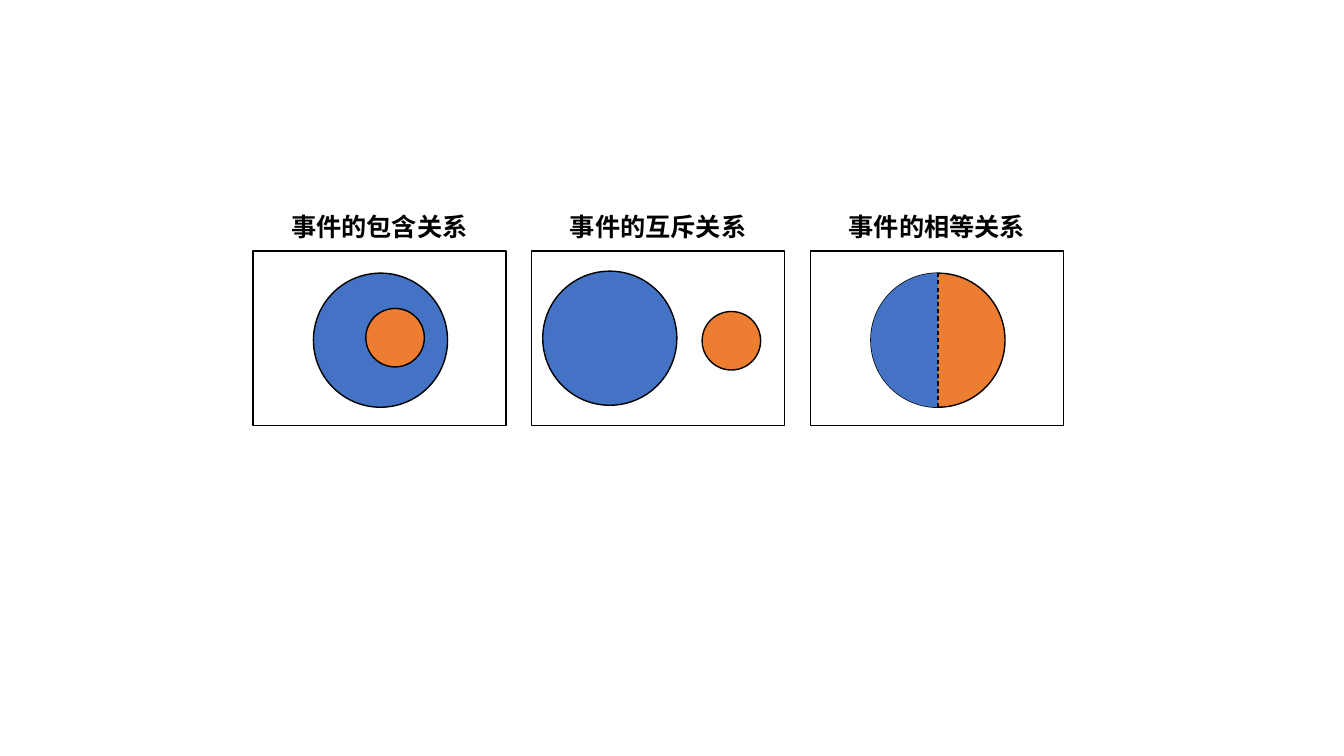
from dataclasses import dataclass

from lxml.etree import SubElement
from pptx import Presentation
from pptx.dml.color import RGBColor
from pptx.enum.dml import MSO_LINE
from pptx.enum.shapes import MSO_CONNECTOR, MSO_SHAPE as SHAPE
from pptx.enum.text import MSO_AUTO_SIZE
from pptx.oxml.ns import qn
from pptx.shapes.autoshape import Shape
from pptx.slide import Slide
from pptx.util import Pt

BLACK = RGBColor(0x00, 0x00, 0x00)
WHITE = RGBColor(0xFF, 0xFF, 0xFF)
BLUE = RGBColor(0x44, 0x72, 0xC4)
ORANGE = RGBColor(0xED, 0x7D, 0x31)
FONT = "Noto Sans CJK SC"

# All lengths in points
PANEL_LEFT, PANEL_TOP, PANEL_W, PANEL_H = 180.7, 179.3, 180.7, 124.6
PITCH = 199.1
CAPTION_DX, CAPTION_TOP, CAPTION_W, CAPTION_H = 20.2, 147.6, 142.6, 28.8
LARGE, SMALL = 95.8, 41.8


@dataclass(frozen=True)
class Event:
    """A circle, placed relative to the corner of its panel."""
    dx: float
    dy: float
    size: float
    color: RGBColor


@dataclass(frozen=True)
class Panel:
    """A captioned sample space with its events."""
    caption: str
    events: tuple[Event, ...]
    split: bool = False


PANELS = (
    Panel("事件的包含关系", (Event(43.2, 15.8, LARGE, BLUE),
                      Event(80.6, 41, SMALL, ORANGE))),
    Panel("事件的互斥关系", (Event(7.9, 14.4, LARGE, BLUE),
                      Event(121.7, 43.2, SMALL, ORANGE))),
    Panel("事件的相等关系", (Event(43.2, 15.8, LARGE, ORANGE),), split=True),
)


def add_shape(s: Slide, kind: SHAPE, x: float, y: float, w: float, h: float,
              fill: RGBColor, outlined: bool = True) -> Shape:
    """Add a filled shape, with a thin black outline unless told otherwise."""
    sp = s.shapes.add_shape(kind, Pt(x), Pt(y), Pt(w), Pt(h))
    sp.shadow.inherit = False
    sp.fill.solid()
    sp.fill.fore_color.rgb = fill
    if outlined:
        sp.line.color.rgb = BLACK
        sp.line.width = Pt(1)
    else:
        sp.line.fill.background()
    return sp


def add_text(s: Slide, text: str, x: float, y: float, w: float, h: float, *,
             size: float = 18, bold: bool = True,
             color: RGBColor = BLACK, font: str = FONT) -> None:
    """Add a text box holding one formatted run."""
    tf = s.shapes.add_textbox(Pt(x), Pt(y), Pt(w), Pt(h)).text_frame
    tf.word_wrap = True
    tf.auto_size = MSO_AUTO_SIZE.SHAPE_TO_FIT_TEXT
    r = tf.paragraphs[0].add_run()
    r.text = text
    r.font.size = Pt(size)
    r.font.bold = bold
    r.font.color.rgb = color
    r.font.name = font
    SubElement(r.font._element, qn("a:ea"), typeface=font)


def add_split(s: Slide, x: float, y: float, size: float) -> None:
    """Colour the left half of a circle blue and dash its diameter."""
    half = add_shape(s, SHAPE.PIE, x, y, size, size, BLUE, outlined=False)
    # 90 and 270 degrees, in 60000ths of a degree over 100000
    half.adjustments[0], half.adjustments[1] = 54, 162
    mid = Pt(x + size / 2)
    line = s.shapes.add_connector(MSO_CONNECTOR.STRAIGHT,
                                  mid, Pt(y), mid, Pt(y + size))
    line.line.color.rgb = BLACK
    line.line.width = Pt(0.75)
    line.line.dash_style = MSO_LINE.DASH
    SubElement(line._element.spPr, qn("a:effectLst"))


def add_panel(s: Slide, panel: Panel, x: float) -> None:
    """Draw one captioned panel whose left edge is at x."""
    add_shape(s, SHAPE.RECTANGLE, x, PANEL_TOP, PANEL_W, PANEL_H, WHITE)
    add_text(s, panel.caption, x + CAPTION_DX, CAPTION_TOP,
             CAPTION_W, CAPTION_H)
    for e in panel.events:
        left, top = x + e.dx, PANEL_TOP + e.dy
        add_shape(s, SHAPE.OVAL, left, top, e.size, e.size, e.color)
        if panel.split:
            add_split(s, left, top, e.size)


def main() -> None:
    """Build the slide and save it."""
    prs = Presentation()
    prs.slide_width, prs.slide_height = Pt(960), Pt(540)
    s = prs.slides.add_slide(prs.slide_layouts[6])
    for i, panel in enumerate(PANELS):
        add_panel(s, panel, PANEL_LEFT + i * PITCH)
    prs.save("out.pptx")


main()
